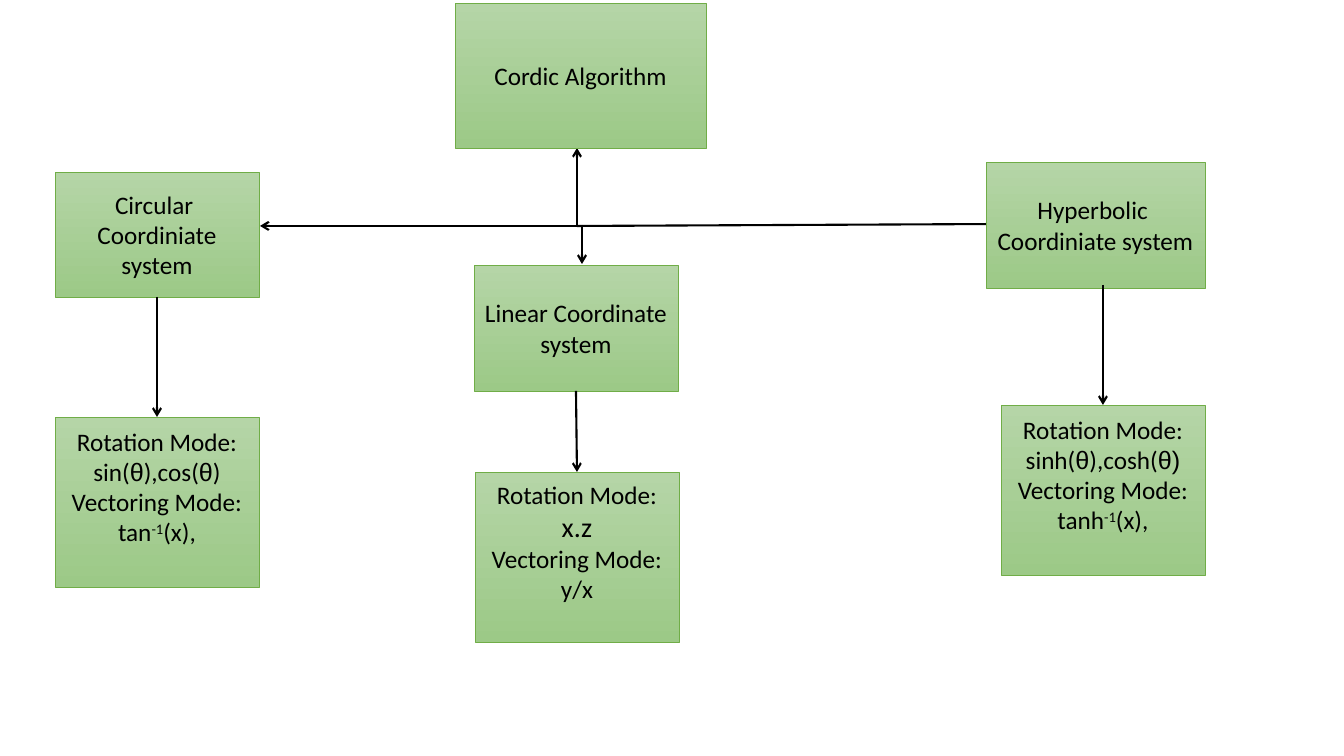
from dataclasses import dataclass

from lxml import etree
from pptx import Presentation
from pptx import util as u
from pptx.dml.color import RGBColor
from pptx.enum import shapes, text
from pptx.oxml import ns

EMU_PER_PX = 914400 / 100.8
BLACK = RGBColor(0x00, 0x00, 0x00)
GREEN_EDGE = RGBColor(0x70, 0xAD, 0x47)
GREEN_TOP = RGBColor(0xB5, 0xD5, 0xA7)
GREEN_BOTTOM = RGBColor(0x9C, 0xC9, 0x87)
STRAIGHT = shapes.MSO_CONNECTOR.STRAIGHT
ELBOW = shapes.MSO_CONNECTOR.ELBOW


@dataclass(frozen=True)
class Span:
    text: str
    font: str = "Calibri"
    size: int = 18
    raised: bool = False


Line = tuple[Span, ...]


@dataclass(frozen=True)
class Box:
    left: int
    top: int
    width: int
    height: int
    lines: tuple[Line, ...]
    space_below: int = 5


@dataclass(frozen=True)
class Arrow:
    start: tuple[int, int]
    end: tuple[int, int]
    kind: int = STRAIGHT
    both_ends: bool = False


def px(length: int) -> u.Emu:
    return u.Emu(round(length * EMU_PER_PX))


def plain(*rows: str) -> tuple[Line, ...]:
    return tuple((Span(row),) for row in rows)


def mode_box(left: int, top: int, rotation: Line, vectoring: Line) -> Box:
    lines = (*plain("Rotation Mode:"), rotation, *plain("Vectoring Mode:"), vectoring)
    return Box(left, top, 204, 170, lines, space_below=36)


def inverse(function: str) -> Line:
    return Span(function), Span("-1", raised=True), Span("(x),")


def draw_box(slide, box: Box) -> None:
    shape = slide.shapes.add_shape(
        shapes.MSO_SHAPE.RECTANGLE, px(box.left), px(box.top), px(box.width), px(box.height)
    )
    shape.shadow.inherit = False
    shape.fill.gradient()
    shape.fill.gradient_angle = 270
    for stop, color in zip(shape.fill.gradient_stops, (GREEN_TOP, GREEN_BOTTOM)):
        stop.color.rgb = color
    shape.line.color.rgb = GREEN_EDGE
    shape.line.width = u.Pt(0.5)
    frame = shape.text_frame
    frame.word_wrap = True
    frame.vertical_anchor = text.MSO_ANCHOR.MIDDLE
    frame.margin_bottom = px(box.space_below)
    frame.text = "\n".join("" for _ in box.lines)
    for paragraph, line in zip(frame.paragraphs, box.lines):
        paragraph.alignment = text.PP_ALIGN.CENTER
        for span in line:
            run = paragraph.add_run()
            run.text = span.text
            run.font.name = span.font
            run.font.size = u.Pt(span.size)
            run.font.color.rgb = BLACK
            if span.raised:
                run.font._element.set("baseline", "30000")


def draw_arrow(slide, arrow: Arrow) -> None:
    connector = slide.shapes.add_connector(
        arrow.kind, *(px(value) for value in (*arrow.start, *arrow.end))
    )
    connector.line.color.rgb = BLACK
    connector.line.width = u.Pt(1.5)
    properties = connector._element.spPr
    if arrow.kind == ELBOW:
        properties.find(ns.qn("a:prstGeom")).set("prst", "bentConnector2")
    outline = properties.find(ns.qn("a:ln"))
    for end in ("a:headEnd", "a:tailEnd") if arrow.both_ends else ("a:tailEnd",):
        etree.SubElement(outline, ns.qn(end), type="arrow")
    etree.SubElement(properties, ns.qn("a:effectLst"))


THETA = Span("θ", "Arial")

BRANCHES = (
    Arrow((260, 226), (577, 148), ELBOW, both_ends=True),
    Arrow((577, 226), (1001, 224)),
    Arrow((582, 225), (582, 264)),
)
BOXES = (
    Box(455, 3, 251, 145, plain("Cordic Algorithm")),
    Box(55, 172, 204, 125, plain("Circular ", "Coordiniate system")),
    Box(474, 265, 204, 126, plain("Linear Coordinate ", "system")),
    Box(986, 162, 219, 126, plain("Hyperbolic ", "Coordiniate system")),
    mode_box(
        55, 417,
        (Span("sin("), THETA, Span("),cos("), THETA, Span(")")),
        inverse("tan"),
    ),
    mode_box(475, 472, (Span("x.z", size=20),), (Span("y/x"),)),
    mode_box(
        1001, 405,
        (Span("sinh("), THETA, Span("),cosh("), Span("θ)", "Arial")),
        inverse("tanh"),
    ),
)
MODE_ARROWS = (
    Arrow((157, 297), (157, 417)),
    Arrow((576, 391), (577, 472)),
    Arrow((1103, 285), (1103, 405)),
)

presentation = Presentation()
presentation.slide_width = px(1344)
presentation.slide_height = px(756)
cordic_slide = presentation.slides.add_slide(presentation.slide_layouts[6])
for branch in BRANCHES:
    draw_arrow(cordic_slide, branch)
for system_box in BOXES:
    draw_box(cordic_slide, system_box)
for mode_arrow in MODE_ARROWS:
    draw_arrow(cordic_slide, mode_arrow)
presentation.save("out.pptx")
